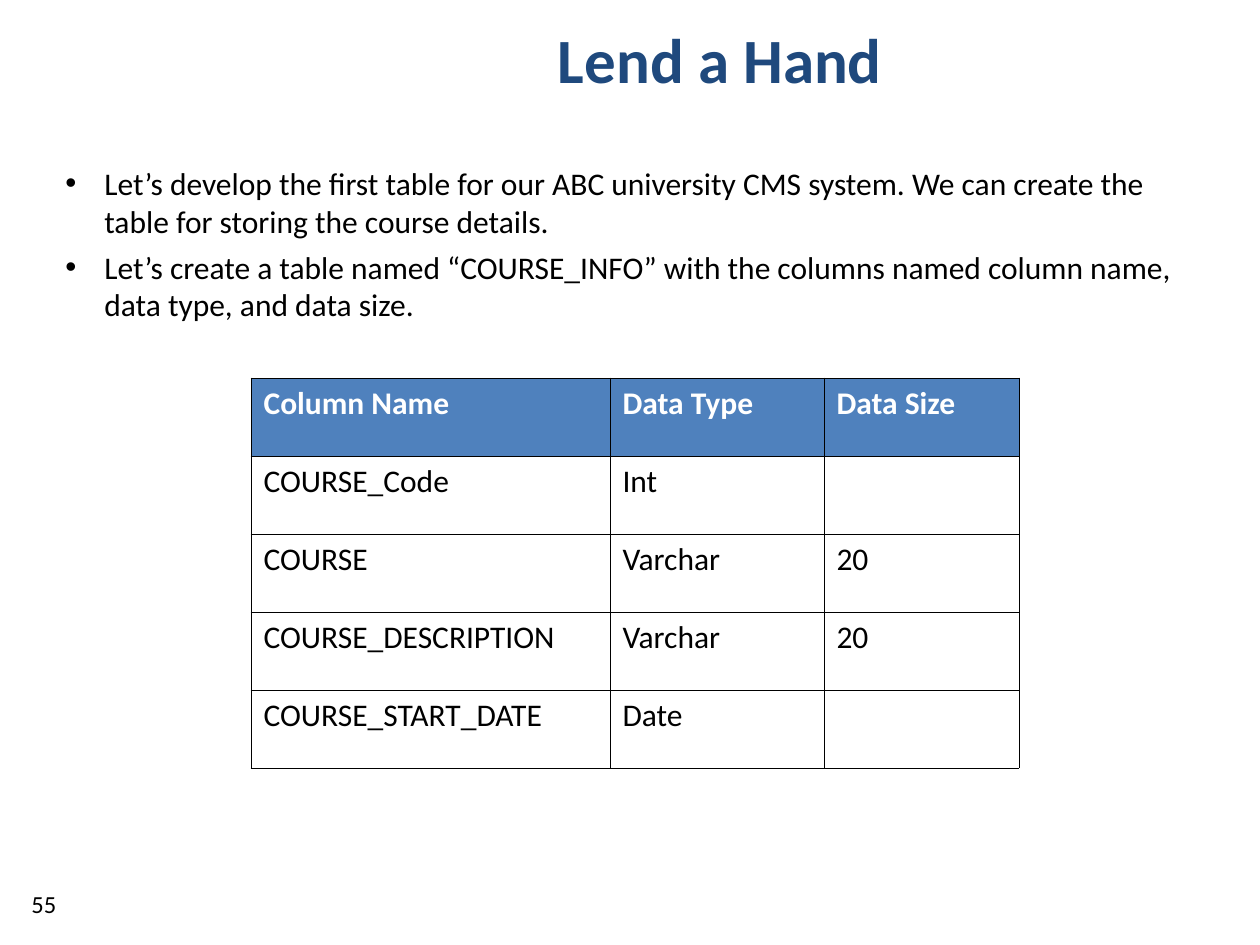
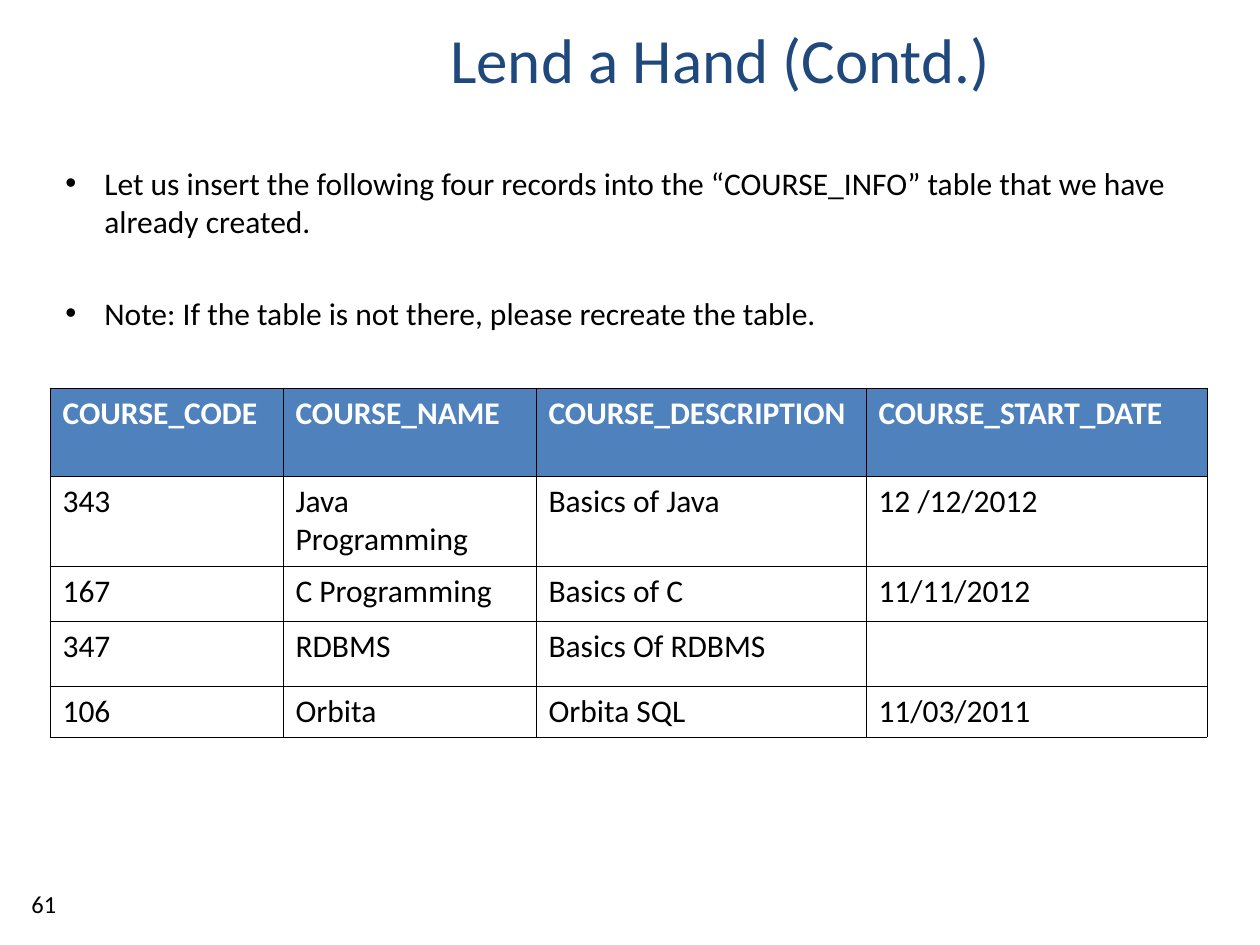
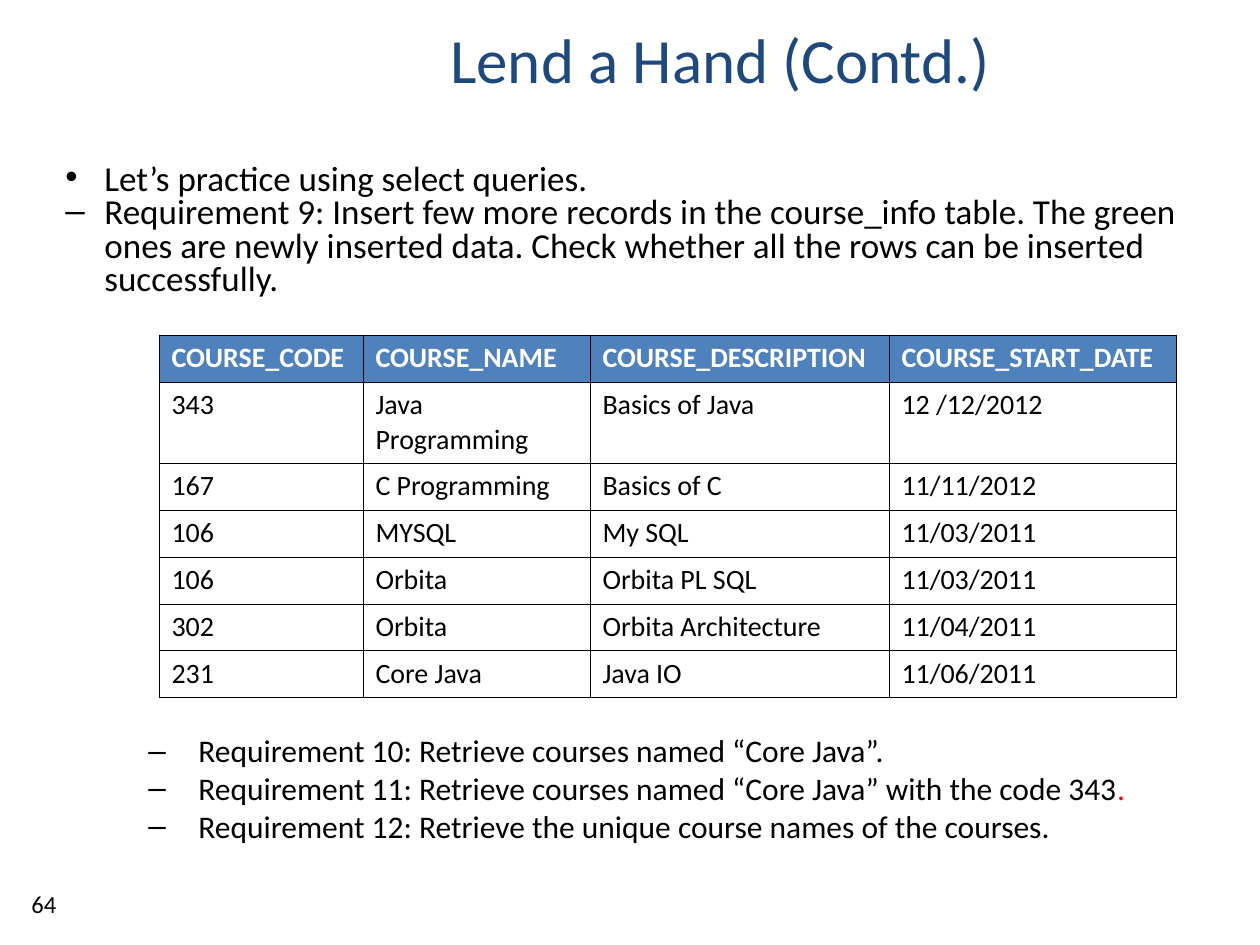
from lxml import etree
from pptx import Presentation
from pptx.dml.color import RGBColor
from pptx.enum.text import MSO_ANCHOR, PP_ALIGN
from pptx.oxml import parse_xml
from pptx.oxml.ns import nsdecls, qn
from pptx.util import Pt

SCALE = 914400 / 126  # EMU per px
FONT = "Calibri"
NAVY = RGBColor(0x1F, 0x49, 0x7D)
BLUE = RGBColor(0x4F, 0x81, 0xBD)
WHITE = RGBColor(0xFF, 0xFF, 0xFF)
BLACK = RGBColor(0x00, 0x00, 0x00)
RED = RGBColor(0xFF, 0x00, 0x00)


def px(*lengths):
    return [round(n * SCALE) for n in lengths]


def write(tf, text, size=18, color=BLACK, bold=False, align=None, bullet=None,
          indent=(39, 39), before=0, spacing=None, new=True):
    """Add text as a new paragraph, or as a run of the last one."""
    p = tf.paragraphs[-1]
    if new and p.runs:
        p = tf.add_paragraph()
    if bullet:
        pPr = p._p.get_or_add_pPr()
        left, hang = px(*indent)
        pPr.set("marL", str(left))
        pPr.set("indent", str(-hang))
        etree.SubElement(pPr, qn("a:buFont"), typeface="Arial")
        etree.SubElement(pPr, qn("a:buChar"), char=bullet)
    if new:
        p.alignment = align
        p.space_before = Pt(before)
        p.line_spacing = spacing
    r = p.add_run()
    r.text = text
    r.font.name, r.font.size, r.font.bold = FONT, Pt(size), bold
    r.font.color.rgb = color


COURSE_HEAD = ["COURSE_CODE", "COURSE_NAME", "COURSE_DESCRIPTION", "COURSE_START_DATE"]
JAVA_ROW = ["343", "Java Programming", "Basics of Java", "12 /12/2012"]
C_ROW = ["167", "C Programming", "Basics of C", "11/11/2012"]

slides = [
    dict(
        number="55", title="Lend a Hand", bold=True, height=682,
        bullets=[
            dict(text="Let’s develop the first table for our ABC university CMS system. "
                      "We can create the table for storing the course details.", bullet="•"),
            dict(text="Let’s create a table named “COURSE_INFO” with the columns named "
                      "column name, data type, and data size.", bullet="•", before=4.5),
        ],
        at=(251, 378), cols=[359, 214, 195], heights=[78] * 5, size=18,
        rows=[
            ["Column Name", "Data Type", "Data Size"],
            ["COURSE_Code", "Int", ""],
            ["COURSE", "Varchar", "20"],
            ["COURSE_DESCRIPTION", "Varchar", "20"],
            ["COURSE_START_DATE", "Date", ""],
        ],
    ),
    dict(
        number="61", title="Lend a Hand (Contd.)", bold=False, height=682,
        bullets=[
            dict(text="Let us insert the following four records into the “COURSE_INFO” "
                      "table that we have already created.", bullet="•"),
            dict(text="Note: If the table is not there, please recreate the table.",
                 bullet="•", before=31),
        ],
        at=(50, 388), cols=[233, 253, 330, 341], heights=[88, 90, 55, 65, 51], size=18,
        rows=[
            COURSE_HEAD, JAVA_ROW, C_ROW,
            ["347", "RDBMS", "Basics Of RDBMS", ""],
            ["106", "Orbita", "Orbita SQL", "11/03/2011"],
        ],
    ),
    dict(
        number="64", title="Lend a Hand (Contd.)", bold=False, height=158,
        bullets=[
            dict(text="Let’s practice using select queries.", bullet="•",
                 size=20, spacing=0.8),
            dict(text="Requirement 9: Insert few more records in the course_info table. "
                      "The green ones are newly inserted data. Check whether all the rows "
                      "can be inserted successfully.", bullet="–", size=20, spacing=0.8),
        ],
        at=(159, 335), cols=[204, 227, 299, 287], heights=[47, 81] + [47] * 5, size=16,
        rows=[
            COURSE_HEAD, JAVA_ROW, C_ROW,
            ["106", "MYSQL", "My SQL", "11/03/2011"],
            ["106", "Orbita", "Orbita PL SQL", "11/03/2011"],
            ["302", "Orbita", "Orbita Architecture", "11/04/2011"],
            ["231", "Core Java", "Java IO", "11/06/2011"],
        ],
    ),
]

prs = Presentation()
prs.slide_width, prs.slide_height = px(1260, 945)

for spec_row in slides:
    s = prs.slides.add_slide(prs.slide_layouts[5])

    # Title
    title = s.shapes.title
    title.left, title.top, title.width, title.height = px(180, 0, 1080, 116)
    title.text_frame.vertical_anchor = MSO_ANCHOR.MIDDLE
    write(title.text_frame, spec_row["title"], size=36, color=NAVY,
          bold=spec_row["bold"], align=PP_ALIGN.CENTER)

    # Bullets
    tf = s.shapes.add_textbox(*px(53, 158, 1155, spec_row["height"])).text_frame
    tf.word_wrap = True
    for item in spec_row["bullets"]:
        write(tf, **item)

    # Table
    cols, heights, rows = spec_row["cols"], spec_row["heights"], spec_row["rows"]
    frame = s.shapes.add_table(len(rows), len(cols),
                               *px(*spec_row["at"], sum(cols), sum(heights)))
    table = frame.table
    table.first_row = table.horz_banding = False
    for column, width in zip(table.columns, px(*cols)):
        column.width = width
    for row, height in zip(table.rows, px(*heights)):
        row.height = height
    for i, values in enumerate(rows):
        for j, value in enumerate(values):
            cell = table.cell(i, j)
            tcPr = cell._tc.get_or_add_tcPr()
            for side in "LRTB":
                tcPr.append(parse_xml(
                    f'<a:ln{side} {nsdecls("a")} w="5715"><a:solidFill>'
                    f'<a:srgbClr val="{BLACK}"/></a:solidFill></a:ln{side}>'))
            if i == 0:
                cell.fill.solid()
                cell.fill.fore_color.rgb = BLUE
            else:
                cell.fill.background()
            if value:
                write(cell.text_frame, value, size=spec_row["size"],
                      color=BLACK if i else WHITE, bold=i == 0)

    # Slide number
    tf = s.shapes.add_textbox(*px(19, 883, 63, 38)).text_frame
    tf.word_wrap = True
    write(tf, spec_row["number"], size=14)

# Further requirements below the last table
tf = s.shapes.add_textbox(*px(73, 725, 1155, 158)).text_frame
tf.word_wrap = True
dash = dict(bullet="–", indent=(113, 50))
write(tf, "Requirement 10: Retrieve courses named “Core Java”.", **dash)
write(tf, "Requirement 11: Retrieve courses named “Core Java” with the code 343", **dash)
write(tf, ".", color=RED, new=False)
write(tf, "Requirement 12: Retrieve the unique course names of the courses.", **dash)

prs.save("out.pptx")
